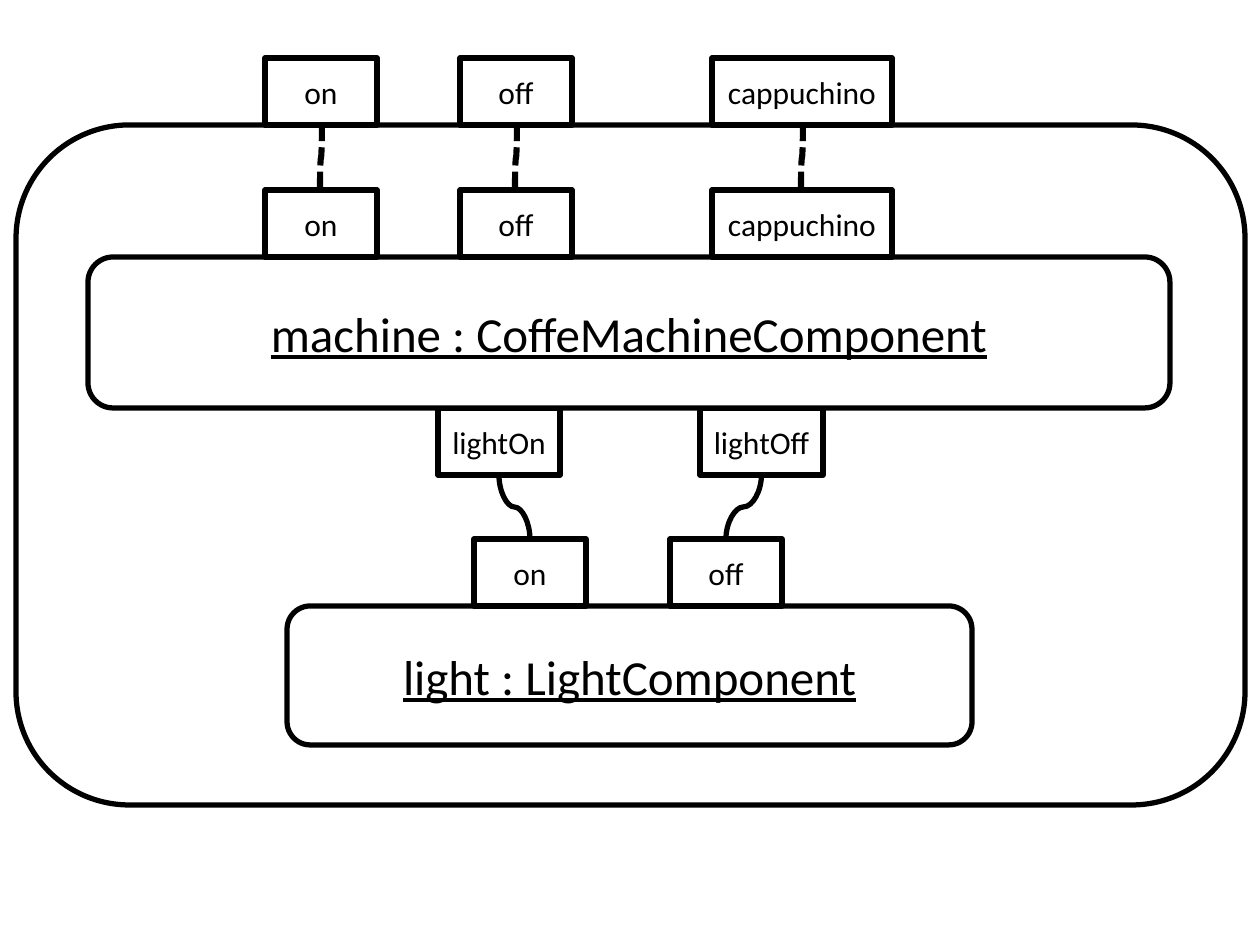
from lxml import etree
from pptx import Presentation
from pptx.dml.color import RGBColor
from pptx.enum.dml import MSO_LINE as Dash
from pptx.enum.shapes import MSO_CONNECTOR as Connector, MSO_SHAPE as Shape
from pptx.enum.text import MSO_ANCHOR as Anchor, PP_ALIGN as Align
from pptx.oxml.ns import qn
from pptx.util import Pt

PX = 914400 / 126
COLORS = {"ink": "000000", "paper": "FFFFFF"}
FONT = "Calibri"
PORT_HEIGHT = 67

SYSTEM_BOX = (16, 125, 1229, 680)
MACHINE_BOX = (88, 257, 1082, 151)
LIGHT_BOX = (287, 606, 685, 139)

# Ports: label, offset from the left of the component, width
SYSTEM_PORTS = [("on", 249, 112), ("off", 444, 112), ("cappuchino", 696, 180)]
INSET = MACHINE_BOX[0] - SYSTEM_BOX[0]
MACHINE_PORTS = [(label, dx - INSET, width) for label, dx, width in SYSTEM_PORTS]
LIGHT_CALLS = [("lightOn", 350, 122), ("lightOff", 612, 123)]
LIGHT_PORTS = [("on", 187, 112), ("off", 383, 112)]


def emu(px):
    return round(px * PX)


def color(name):
    return RGBColor.from_string(COLORS[name])


def add_box(slide, kind, box, label="", size=18, underline=False):
    node = slide.shapes.add_shape(kind, *map(emu, box))
    node.shadow.inherit = False
    node.fill.solid()
    node.fill.fore_color.rgb = color("paper")
    node.line.color.rgb = color("ink")
    node.line.width = Pt(3)
    if label:
        frame = node.text_frame
        frame.text = label
        frame.word_wrap = True
        frame.margin_left = frame.margin_right = 0
        frame.vertical_anchor = Anchor.MIDDLE
        paragraph = frame.paragraphs[0]
        paragraph.alignment = Align.CENTER
        font = paragraph.runs[0].font
        font.name, font.size, font.underline = FONT, Pt(size), underline
        font.color.rgb = color("ink")


def add_ports(slide, left, top, ports):
    """Place a row of ports and return the middle x of each."""
    for label, dx, width in ports:
        add_box(slide, Shape.RECTANGLE, (left + dx, top, width, PORT_HEIGHT), label)
    return [left + dx + width / 2 for _, dx, width in ports]


def add_component(slide, box, label, upper, lower=()):
    """Place a component with ports on its upper and lower edges."""
    left, top, _, height = box
    lower_middles = add_ports(slide, left, top + height, lower)
    add_box(slide, Shape.ROUNDED_RECTANGLE, box, label, 28, True)
    upper_middles = add_ports(slide, left, top - PORT_HEIGHT, upper)
    return upper_middles, lower_middles


def add_wire(slide, start, end, width=3, dash=None):
    """Draw an S-curve that leaves and arrives vertically: a quarter-turned connector."""
    (x1, y1), (x2, y2) = start, end
    mid_x, mid_y = (x1 + x2) / 2, (y1 + y2) / 2
    turned = (mid_x + y1 - mid_y, mid_y - x1 + mid_x,
              mid_x + y2 - mid_y, mid_y - x2 + mid_x)
    wire = slide.shapes.add_connector(Connector.CURVE, *map(emu, turned))
    wire.line.color.rgb = color("ink")
    wire.line.width = Pt(width)
    if dash is not None:
        wire.line.dash_style = dash
    properties = wire._element.spPr
    properties.find(qn("a:xfrm")).set("rot", str(90 * 60000))
    etree.SubElement(properties, qn("a:effectLst"))


def main():
    deck = Presentation()
    deck.slide_width, deck.slide_height = emu(1260), emu(945)
    slide = deck.slides.add_slide(deck.slide_layouts[6])

    # Components, from the outer one inwards
    system_in, _ = add_component(slide, SYSTEM_BOX, "", SYSTEM_PORTS)
    machine_in, machine_out = add_component(
        slide, MACHINE_BOX, "machine : CoffeMachineComponent", MACHINE_PORTS, LIGHT_CALLS)
    light_in, _ = add_component(slide, LIGHT_BOX, "light : LightComponent", LIGHT_PORTS)

    # Dashed delegation from the system ports to the machine ports
    machine_port_top = MACHINE_BOX[1] - PORT_HEIGHT
    for inner, outer in zip(machine_in, system_in):
        add_wire(slide, (inner - 1, machine_port_top), (outer + 1, SYSTEM_BOX[1] + 1),
                 3.5, Dash.SQUARE_DOT)

    # Calls from the machine to the light
    light_port_top = LIGHT_BOX[1] - PORT_HEIGHT
    call_bottom = MACHINE_BOX[1] + MACHINE_BOX[3] + PORT_HEIGHT
    for port, call in zip(light_in, machine_out):
        add_wire(slide, (port, light_port_top), (call, call_bottom))

    deck.save("out.pptx")


if __name__ == "__main__":
    main()
